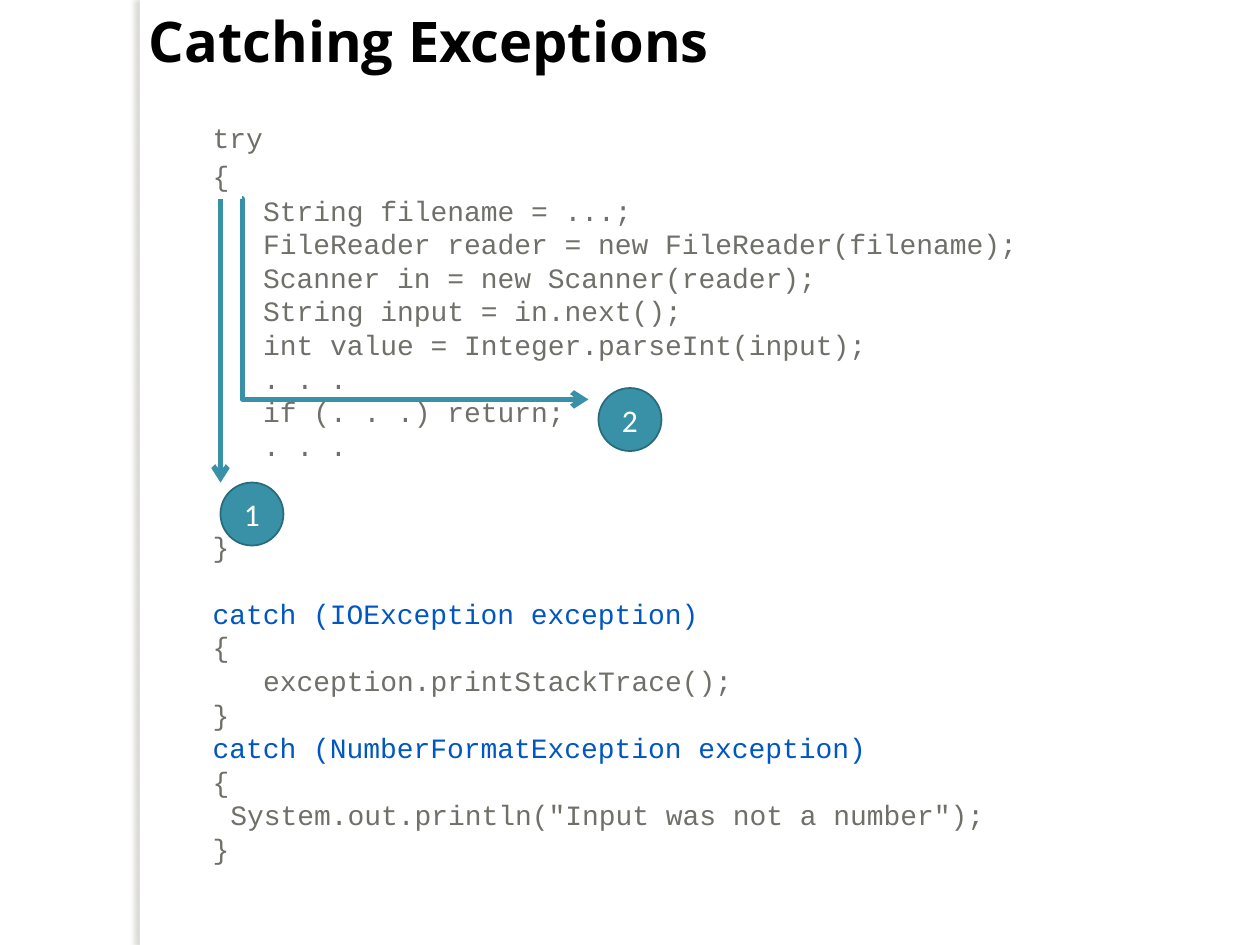
from dataclasses import dataclass

from lxml import etree
from pptx import Presentation
from pptx.dml.color import RGBColor
from pptx.enum.shapes import MSO_CONNECTOR, MSO_SHAPE
from pptx.enum.text import MSO_ANCHOR, PP_ALIGN
from pptx.oxml.ns import qn
from pptx.util import Inches, Pt

TOP, MIDDLE = MSO_ANCHOR.TOP, MSO_ANCHOR.MIDDLE
LEFT, CENTER = PP_ALIGN.LEFT, PP_ALIGN.CENTER
RECT, OVAL = MSO_SHAPE.RECTANGLE, MSO_SHAPE.OVAL
STRAIGHT, ELBOW = MSO_CONNECTOR.STRAIGHT, MSO_CONNECTOR.ELBOW

GRAY, BLUE, TEAL, EDGE = "6E7069", "0057C1", "3891A7", "296B7C"
WHITE, BLACK = "FFFFFF", "000000"
PITCH = 19.2  # height of one code line, in points
STEP = 0.4  # one level of code indent, in inches


@dataclass
class Line:
    text: str
    indent: float = 0
    color: str = GRAY
    before: float = 0


@dataclass
class Badge:
    text: str
    x: float
    y: float


@dataclass
class Arrow:
    kind: int
    start: tuple
    end: tuple


CODE = [
    Line("try", before=6),
    Line("{", before=2.5),
    Line("String filename = ...;", STEP, before=0.5),
    Line("FileReader reader = new FileReader(filename);", STEP),
    Line("Scanner in = new Scanner(reader);", STEP),
    Line("String input = in.next();", STEP),
    Line("int value = Integer.parseInt(input);", STEP),
    Line(". . .", STEP),
    Line("if (. . .) return;", STEP),
    Line(". . .", STEP),
    Line("}", before=2 * PITCH),
    Line("catch (IOException exception)", color=BLUE, before=PITCH),
    Line("{"),
    Line("exception.printStackTrace();", STEP),
    Line("}"),
    Line("catch (NumberFormatException exception)", color=BLUE),
    Line("{"),
    Line('System.out.println("Input was not a number");', 0.14),
    Line("}"),
]
BADGES = [Badge("1", 1.75, 3.83), Badge("2", 4.75, 3.08)]
ARROWS = [
    Arrow(STRAIGHT, (1.75, 1.58), (1.75, 3.83)),
    Arrow(ELBOW, (1.92, 1.58), (4.67, 3.17)),
]


def rgb(color: str) -> RGBColor:
    return RGBColor.from_string(color)


def style(font, color: str, **values) -> None:
    for name, value in values.items():
        setattr(font, name, value)
    font.color.rgb = rgb(color)


def add_strip(slide) -> None:
    strip = slide.shapes.add_shape(RECT, Inches(1.11), 0, Inches(0.08), Inches(7.5))
    strip.fill.solid()
    strip.fill.fore_color.rgb = rgb(WHITE)
    strip.line.fill.background()
    # Soft shadow that falls to the left
    fx = etree.SubElement(strip._element.spPr, qn("a:effectLst"))
    shade = etree.SubElement(fx, qn("a:outerShdw"), blurRad=str(Pt(3)),
                             dist=str(Pt(3)), dir="10800000", algn="ctr", rotWithShape="0")
    tint = etree.SubElement(shade, qn("a:srgbClr"), val="736F63")
    etree.SubElement(tint, qn("a:alpha"), val="25000")


def set_title(slide, text: str) -> None:
    title = slide.shapes.title
    title.left, title.top = Inches(1.08), Inches(0)
    title.width, title.height = Inches(7.67), Inches(0.64)
    frame = title.text_frame
    frame.text = text
    frame.vertical_anchor = MIDDLE
    para = frame.paragraphs[0]
    para.alignment = LEFT
    style(para.runs[0].font, BLACK, name="Open Sans", size=Pt(32), bold=True)


def add_code(slide, lines: list[Line]) -> None:
    box = slide.shapes.add_textbox(Inches(1.33), Inches(0.91), Inches(7.83), Inches(6.09))
    frame = box.text_frame
    frame.word_wrap = True
    frame.vertical_anchor = TOP
    for i, line in enumerate(lines):
        para = frame.add_paragraph() if i else frame.paragraphs[0]
        para.line_spacing = Pt(PITCH)
        para.space_before = Pt(line.before)
        para._p.get_or_add_pPr().set("marL", str(Inches(0.26 + line.indent)))
        run = para.add_run()
        run.text = line.text
        style(run.font, line.color, name="Courier New", size=Pt(16))


def add_badge(slide, badge: Badge) -> None:
    disc = slide.shapes.add_shape(OVAL, Inches(badge.x), Inches(badge.y),
                                  Inches(0.5), Inches(0.5))
    disc.shadow.inherit = False
    disc.fill.solid()
    disc.fill.fore_color.rgb = rgb(TEAL)
    disc.line.color.rgb = rgb(EDGE)
    disc.line.width = Pt(1)
    frame = disc.text_frame
    frame.text = badge.text
    frame.vertical_anchor = MIDDLE
    para = frame.paragraphs[0]
    para.alignment = CENTER
    style(para.runs[0].font, WHITE, name="Calibri", size=Pt(18))


def add_arrow(slide, arrow: Arrow) -> None:
    ends = [Inches(v) for v in arrow.start + arrow.end]
    link = slide.shapes.add_connector(arrow.kind, *ends)
    link.line.color.rgb = rgb(TEAL)
    link.line.width = Pt(3)
    props = link._element.spPr
    etree.SubElement(link.line._get_or_add_ln(), qn("a:tailEnd"), type="arrow")
    etree.SubElement(props, qn("a:effectLst"))
    if arrow.kind == ELBOW:
        # Turn at the start, so that the line runs down first
        guides = props.find(qn("a:prstGeom")).get_or_add_avLst()
        etree.SubElement(guides, qn("a:gd"), name="adj1", fmla="val 100")


def main() -> None:
    deck = Presentation()
    deck.slide_width, deck.slide_height = Inches(10), Inches(7.5)
    slide = deck.slides.add_slide(deck.slide_layouts[5])
    add_strip(slide)
    set_title(slide, "Catching Exceptions")
    add_code(slide, CODE)
    for badge in BADGES:
        add_badge(slide, badge)
    for arrow in ARROWS:
        add_arrow(slide, arrow)
    deck.save("out.pptx")


if __name__ == "__main__":
    main()
